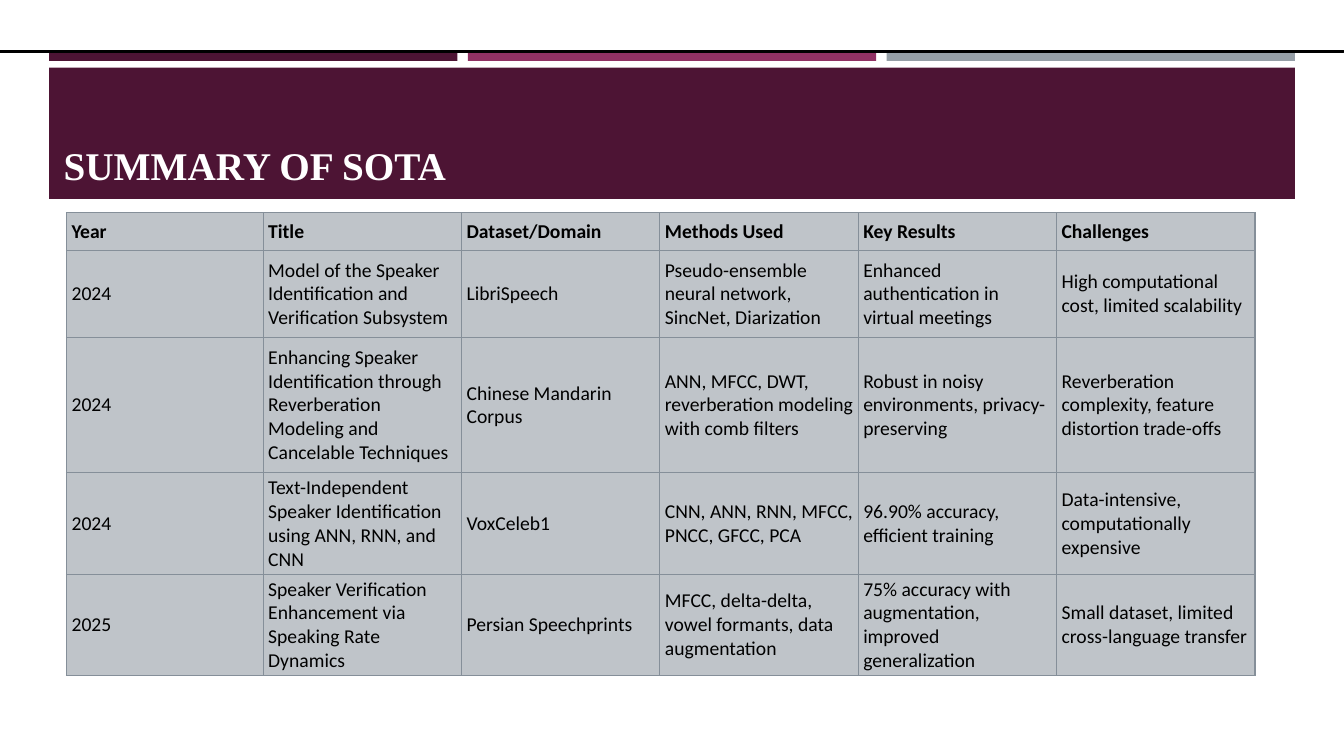
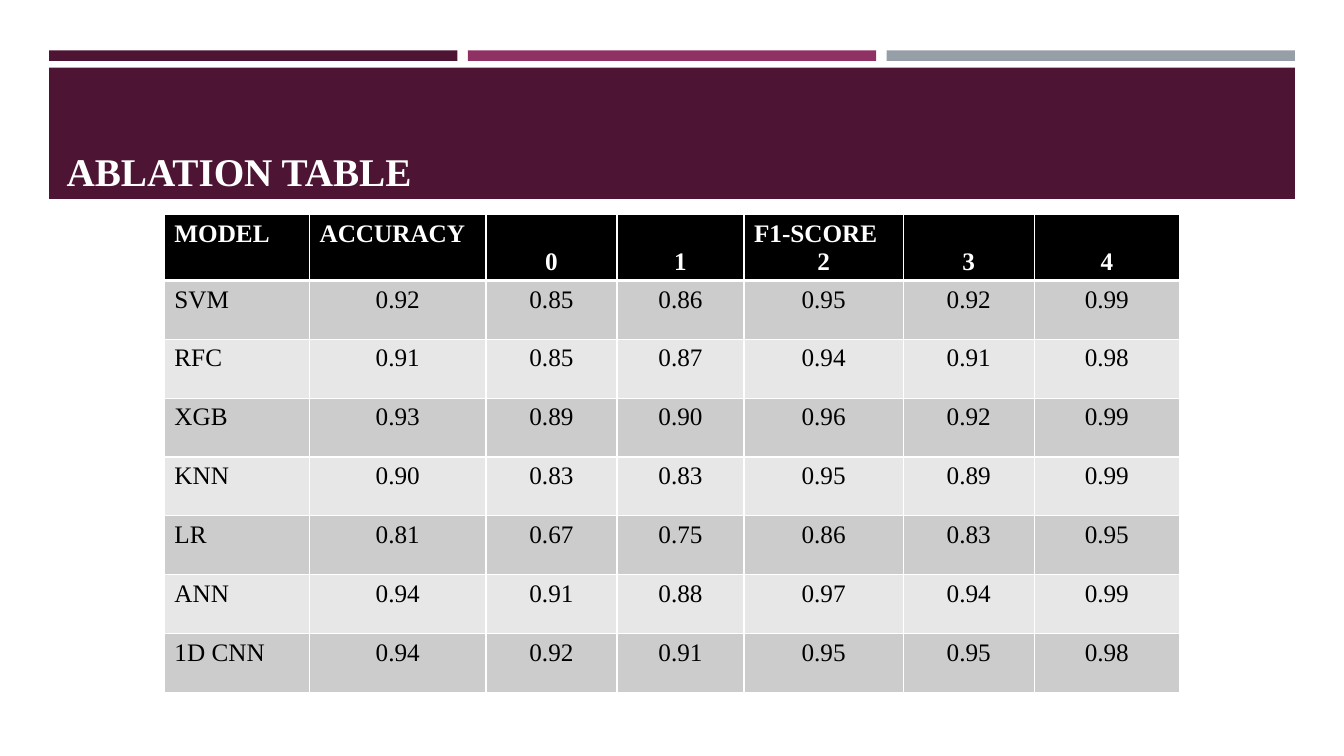
from lxml import etree
from pptx import Presentation, util as u
from pptx.dml.color import RGBColor
from pptx.enum import shapes, text
from pptx.oxml import ns

PLUM, MAGENTA, SLATE = "4D1434", "903163", "969FA7"
WHITE, BLACK = "FFFFFF", "000000"
SERIF, SANS = "Times New Roman", "Calibri"
LEFT, CENTER = text.PP_ALIGN.LEFT, text.PP_ALIGN.CENTER
TOP, MIDDLE, BOTTOM = (text.MSO_ANCHOR.TOP, text.MSO_ANCHOR.MIDDLE,
                       text.MSO_ANCHOR.BOTTOM)


def color(value):
    return RGBColor.from_string(value)


class Deck:
    """Lengths are percentages of the slide's width or height."""

    def __init__(self):
        self.prs = Presentation()
        self.prs.slide_width = u.Inches(13.33)
        self.prs.slide_height = u.Inches(7.5)
        self.layout = self.prs.slide_layouts[5]
        self.slide = None

    def x(self, share):
        return int(self.prs.slide_width * share / 100)

    def y(self, share):
        return int(self.prs.slide_height * share / 100)

    def new_slide(self):
        self.slide = self.prs.slides.add_slide(self.layout)
        if len(self.prs.slides) == 1:
            self.shared_bands()

    def bar(self, left, top, width, height, fill):
        bar = self.slide.shapes.add_shape(
            shapes.MSO_SHAPE.RECTANGLE,
            self.x(left), self.y(top), self.x(width), self.y(height))
        bar.shadow.inherit = False
        bar.fill.solid()
        bar.fill.fore_color.rgb = color(fill)
        bar.line.fill.background()
        return bar

    def shared_bands(self):
        left, width, gap = 3.65, 92.7, 0.78
        stripe = (width - 2 * gap) / 3
        bands = [self.bar(left + i * (stripe + gap), 6.67, stripe, 1.4, fill)
                 for i, fill in enumerate((PLUM, MAGENTA, SLATE))]
        bands.append(self.bar(left, 8.95, width, 17.35, PLUM))
        for shape_id, band in enumerate(bands, 100):
            band._element.nvSpPr.cNvPr.set("id", str(shape_id))
            self.layout.shapes._spTree.append(band._element)

    def title(self, words, left, bottom):
        height = 14.8
        title = self.slide.shapes.title
        title.left, title.top = self.x(left), self.y(bottom - height)
        title.width, title.height = self.x(90.45), self.y(height)
        frame = title.text_frame
        frame.text = words
        frame.auto_size = text.MSO_AUTO_SIZE.NONE
        frame.vertical_anchor = BOTTOM
        self.style(frame.paragraphs[0], SERIF, 28, WHITE, True, LEFT)

    def style(self, paragraph, font, size, ink, bold, align):
        paragraph.alignment = align
        paragraph.font.name = font
        paragraph.font.size = u.Pt(size)
        paragraph.font.bold = bold
        paragraph.font.color.rgb = color(ink)

    def table(self, left, top, columns, rows):
        frame = self.slide.shapes.add_table(
            len(rows), len(columns), self.x(left), self.y(top),
            self.x(sum(columns)), self.y(sum(rows)))
        for column, share in zip(frame.table.columns, columns):
            column.width = self.x(share)
        for row, share in zip(frame.table.rows, rows):
            row.height = self.y(share)
        return frame.table

    def cell(self, cell, words, fill, anchor, font, size, ink, bold, aligns):
        cell.fill.solid()
        cell.fill.fore_color.rgb = color(fill)
        cell.vertical_anchor = anchor
        cell.text = words
        for paragraph, align in zip(cell.text_frame.paragraphs, aligns):
            self.style(paragraph, font, size, ink, bold, align)

    def borders(self, cell, ink, top=1, bottom=1):
        properties = cell._tc.get_or_add_tcPr()
        sides = (("L", 1), ("R", 1), ("T", top), ("B", bottom))
        for index, (side, width) in enumerate(sides):
            line = etree.Element(ns.qn(f"a:ln{side}"), w=str(u.Pt(width)))
            fill = etree.SubElement(line, ns.qn("a:solidFill"))
            etree.SubElement(fill, ns.qn("a:srgbClr"), val=ink)
            properties.insert(index, line)


def summary_slide(deck):
    studies = [
        ("Year", "Title", "Dataset/Domain", "Methods Used", "Key Results",
         "Challenges"),
        ("2024", "Model of the Speaker Identification and Verification Subsystem",
         "LibriSpeech", "Pseudo-ensemble neural network, SincNet, Diarization",
         "Enhanced authentication in virtual meetings",
         "High computational cost, limited scalability"),
        ("2024", "Enhancing Speaker Identification through Reverberation "
         "Modeling and Cancelable Techniques", "Chinese Mandarin Corpus",
         "ANN, MFCC, DWT, reverberation modeling with comb filters",
         "Robust in noisy environments, privacy-preserving",
         "Reverberation complexity, feature distortion trade-offs"),
        ("2024", "Text-Independent Speaker Identification using ANN, RNN, and CNN",
         "VoxCeleb1", "CNN, ANN, RNN, MFCC, PNCC, GFCC, PCA",
         "96.90% accuracy, efficient training",
         "Data-intensive, computationally expensive"),
        ("2025", "Speaker Verification Enhancement via Speaking Rate Dynamics",
         "Persian Speechprints",
         "MFCC, delta-delta, vowel formants, data augmentation",
         "75% accuracy with augmentation, improved generalization",
         "Small dataset, limited cross-language transfer"),
    ]
    deck.new_slide()
    deck.title("SUMMARY OF SOTA", 3.98, 25.6)
    rule = deck.bar(0, 6.67, 100, 0.27, BLACK)
    rule.line.color.rgb = color(BLACK)
    rule.line.width = u.Pt(0.75)
    table = deck.table(4.95, 28.13, [14.63] + [14.76] * 5,
                       [5.03, 11.5, 17.9, 13.3, 13.3])
    for r, study in enumerate(studies):
        for c, words in enumerate(study):
            cell = table.cell(r, c)
            deck.cell(cell, words, "BFC4C9", MIDDLE, SANS, 14, BLACK, r == 0,
                      [LEFT])
            cell.margin_left = cell.margin_right = u.Inches(0.05)
            cell.margin_top = cell.margin_bottom = u.Inches(0.03)
            deck.borders(cell, "858F99")


def ablation_slide(deck):
    headings = ["MODEL", "ACCURACY", "0", "1", "F1-SCORE\n2", "3", "4"]
    scores = [
        ("SVM", 0.92, 0.85, 0.86, 0.95, 0.92, 0.99),
        ("RFC", 0.91, 0.85, 0.87, 0.94, 0.91, 0.98),
        ("XGB", 0.93, 0.89, 0.90, 0.96, 0.92, 0.99),
        ("KNN", 0.90, 0.83, 0.83, 0.95, 0.89, 0.99),
        ("LR", 0.81, 0.67, 0.75, 0.86, 0.83, 0.95),
        ("ANN", 0.94, 0.91, 0.88, 0.97, 0.94, 0.99),
        ("1D CNN", 0.94, 0.92, 0.91, 0.95, 0.95, 0.98),
    ]
    deck.new_slide()
    deck.title("ABLATION TABLE", 4.2, 26.4)
    table = deck.table(12.23, 28.4,
                       [10.8, 13.13, 9.75, 9.45, 11.85, 9.75, 10.8],
                       [8.7] + [7.78] * len(scores))
    for c, heading in enumerate(headings):
        cell = table.cell(0, c)
        aligns = [CENTER] if heading.isdigit() else [LEFT, CENTER]
        deck.cell(cell, heading, BLACK, TOP if c < 2 else BOTTOM, SERIF, 18,
                  WHITE, True, aligns)
        deck.borders(cell, WHITE, bottom=3)
    for r, (model, *values) in enumerate(scores, 1):
        fill = "CCCCCC" if r % 2 else "E7E7E7"
        for c, words in enumerate([model] + [f"{v:.2f}" for v in values]):
            cell = table.cell(r, c)
            deck.cell(cell, words, fill, TOP, SERIF, 18, BLACK, False,
                      [CENTER if c else LEFT])
            deck.borders(cell, WHITE, top=3 if r == 1 else 1)


def main():
    deck = Deck()
    summary_slide(deck)
    ablation_slide(deck)
    deck.prs.save("out.pptx")


if __name__ == "__main__":
    main()
